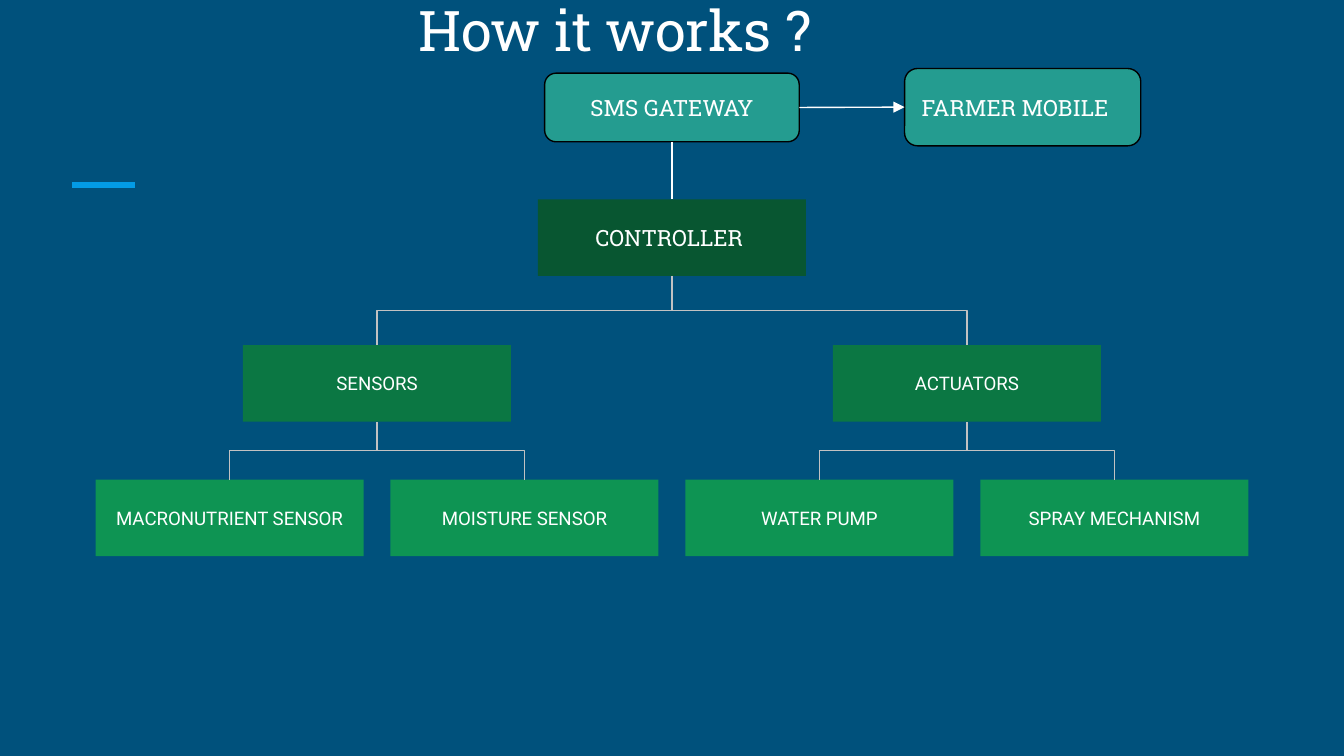
"""Build the "How it works ?" slide: a controller tree with an SMS gateway."""
from dataclasses import dataclass

from lxml import etree
from pptx import Presentation
from pptx.dml.color import RGBColor
from pptx.enum import shapes, text
from pptx.oxml.ns import qn
from pptx.util import Pt


@dataclass(frozen=True)
class Theme:
    background: str = "00517C"
    accent: str = "039BE5"
    white: str = "FFFFFF"
    outline: str = "000000"
    branch: str = "C2C2C2"
    messaging: str = "249C90"
    levels: tuple = ("085631", "0B7743", "0E9453")
    heading_font: str = "Roboto Slab"
    body_font: str = "Roboto"
    title_size: float = 30
    heading_size: float = 12
    body_size: float = 10
    line_width: float = 0.75
    accent_width: float = 3


THEME = Theme()
TITLE = "How it works ?"
ROOT = "CONTROLLER "
TREE = {
    "SENSORS": ["MACRONUTRIENT SENSOR", "MOISTURE SENSOR"],
    "ACTUATORS": ["WATER PUMP", "SPRAY MECHANISM"],
}
GATEWAY = ("SMS GATEWAY", (291.8, 39.2, 136.4, 36.8), text.PP_ALIGN.CENTER)
MOBILE = ("FARMER MOBILE", (484.6, 36.7, 126.5, 41.4), text.PP_ALIGN.LEFT)

SLIDE_WIDTH, SLIDE_HEIGHT = 720, 405
NODE_WIDTH, NODE_HEIGHT = 143.6, 41
LEAF_PITCH = 158
LEVEL_TOPS = (106.8, 185, 257)
TOP, LEFT, BOTTOM, RIGHT = range(4)


def color(value):
    return RGBColor.from_string(value)


def write(shape, label, size, font, align, anchor=text.MSO_ANCHOR.MIDDLE):
    frame = shape.text_frame
    frame.word_wrap = True
    frame.vertical_anchor = anchor
    frame.margin_left = frame.margin_right = Pt(7.2)
    frame.margin_top = frame.margin_bottom = Pt(7.2)
    paragraph = frame.paragraphs[0]
    paragraph.text = label
    paragraph.alignment = align
    paragraph.font.size = Pt(size)
    paragraph.font.name = font
    paragraph.font.color.rgb = color(THEME.white)


def add_box(slide, kind, bounds, fill, outline=None):
    shape = slide.shapes.add_shape(kind, *map(Pt, bounds))
    shape.shadow.inherit = False
    shape.fill.solid()
    shape.fill.fore_color.rgb = color(fill)
    if outline:
        shape.line.color.rgb = color(outline)
        shape.line.width = Pt(THEME.line_width)
    else:
        shape.line.fill.background()
    return shape


def add_node(slide, label, center, level):
    bounds = (center - NODE_WIDTH / 2, LEVEL_TOPS[level], NODE_WIDTH, NODE_HEIGHT)
    node = add_box(slide, shapes.MSO_SHAPE.RECTANGLE, bounds, THEME.levels[level])
    size, font = (
        (THEME.body_size, THEME.body_font) if level
        else (THEME.heading_size, THEME.heading_font)
    )
    write(node, label, size, font, text.PP_ALIGN.CENTER)
    return node


def add_message_box(slide, label, bounds, align):
    box = add_box(slide, shapes.MSO_SHAPE.ROUNDED_RECTANGLE, bounds,
                  THEME.messaging, THEME.outline)
    write(box, label, THEME.heading_size, THEME.heading_font, align)
    return box


def add_line(slide, kind, points, line_color, width=THEME.line_width):
    connector = slide.shapes.add_connector(kind, *map(Pt, points))
    connector.line.color.rgb = color(line_color)
    connector.line.width = Pt(width)
    etree.SubElement(connector.element.spPr, qn("a:effectLst"))
    return connector


def join(slide, start, start_side, end, end_side, line_color,
         kind=shapes.MSO_CONNECTOR.STRAIGHT):
    connector = add_line(slide, kind, (0, 0, 0, 0), line_color)
    connector.begin_connect(start, start_side)
    connector.end_connect(end, end_side)
    return connector


def add_branch(slide, parent, child):
    connector = join(slide, parent, BOTTOM, child, TOP, THEME.branch,
                     shapes.MSO_CONNECTOR.ELBOW)
    start_x = parent.left + parent.width // 2
    end_x = child.left + child.width // 2
    start_y, end_y = parent.top + parent.height, child.top
    run, drop = abs(end_x - start_x), end_y - start_y
    connector.left = (start_x + end_x - drop) // 2
    connector.top = (start_y + end_y - run) // 2
    connector.width, connector.height = drop, run
    to_right = end_x > start_x
    transform = connector.element.spPr.get_or_add_xfrm()
    transform.set("rot", "16200000" if to_right else "5400000")
    transform.set("flipH", "1" if to_right else "0")
    transform.set("flipV", "0")


def add_tree(slide):
    root = add_node(slide, ROOT, SLIDE_WIDTH / 2, 0)
    leaf_count = sum(map(len, TREE.values()))
    center = (SLIDE_WIDTH - (leaf_count - 1) * LEAF_PITCH) / 2
    for label, leaves in TREE.items():
        centers = [center + i * LEAF_PITCH for i in range(len(leaves))]
        group = add_node(slide, label, sum(centers) / len(centers), 1)
        add_branch(slide, root, group)
        for leaf, leaf_center in zip(leaves, centers):
            add_branch(slide, group, add_node(slide, leaf, leaf_center, 2))
        center += len(leaves) * LEAF_PITCH
    return root


def main():
    presentation = Presentation()
    presentation.slide_width = Pt(SLIDE_WIDTH)
    presentation.slide_height = Pt(SLIDE_HEIGHT)
    slide = presentation.slides.add_slide(presentation.slide_layouts[6])
    slide.background.fill.solid()
    slide.background.fill.fore_color.rgb = color(THEME.background)

    add_line(slide, shapes.MSO_CONNECTOR.STRAIGHT, (38.6, 99.1, 72.2, 99.1),
             THEME.accent, THEME.accent_width)
    title = slide.shapes.add_textbox(Pt(0), Pt(0), Pt(659), Pt(41))
    write(title, TITLE, THEME.title_size, THEME.heading_font,
          text.PP_ALIGN.CENTER, text.MSO_ANCHOR.BOTTOM)

    root = add_tree(slide)
    gateway = add_message_box(slide, *GATEWAY)
    mobile = add_message_box(slide, *MOBILE)
    join(slide, gateway, BOTTOM, root, TOP, THEME.white)
    arrow = join(slide, gateway, RIGHT, mobile, LEFT, THEME.white)
    etree.SubElement(arrow.line._get_or_add_ln(), qn("a:tailEnd"), type="triangle")

    presentation.save("out.pptx")


if __name__ == "__main__":
    main()
